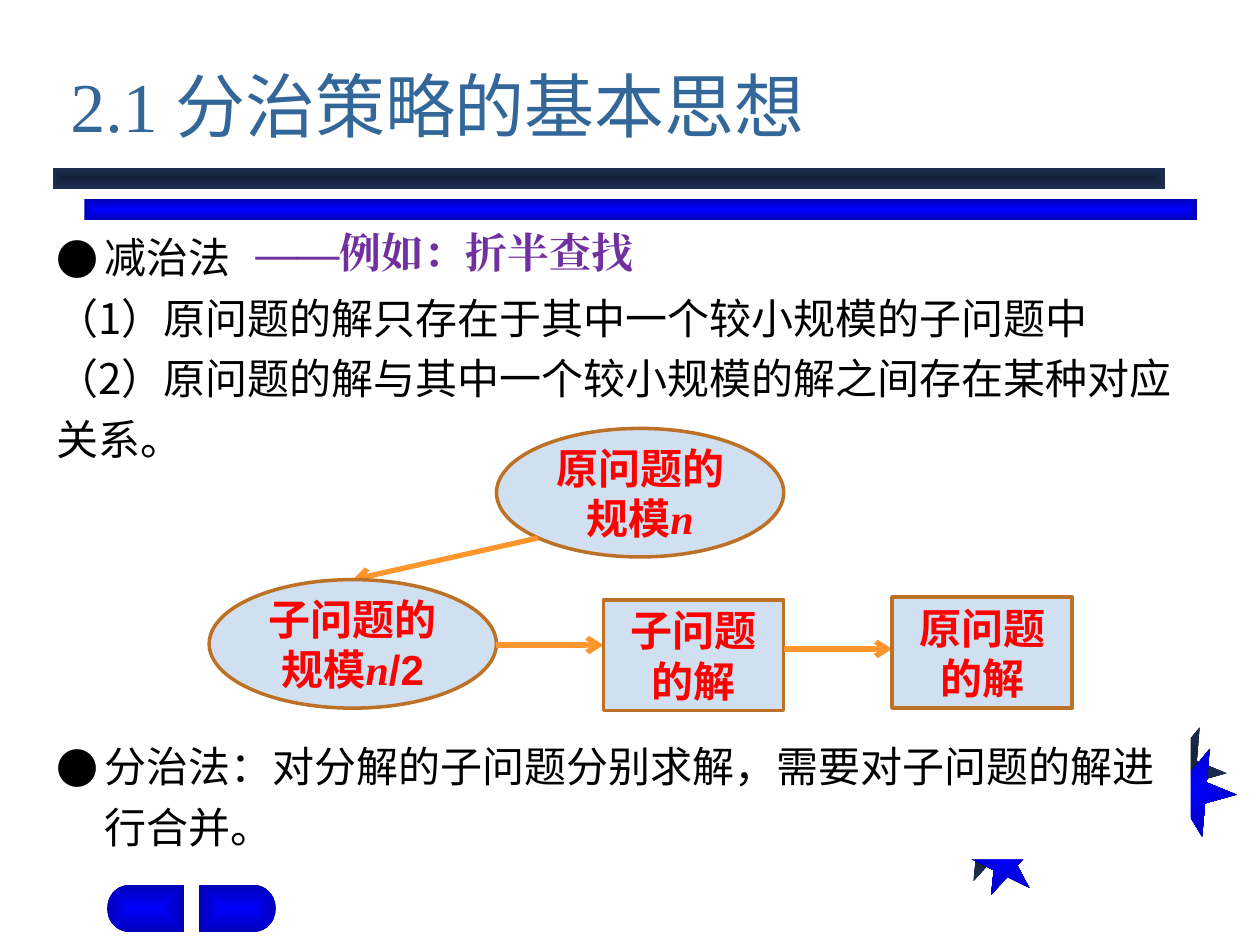
import math

from lxml import etree
from pptx import Presentation, util as u
from pptx.dml.color import RGBColor
from pptx.enum import shapes, text
from pptx.oxml import parse_xml
from pptx.oxml.ns import nsdecls, qn

SANS = "Noto Sans CJK SC"
SERIF = "Times New Roman"
BLUE = ("0000FF", "0000B6")
NAVY = ("15213B", "1E2E53")
OVAL = shapes.MSO_SHAPE.OVAL
RECT = shapes.MSO_SHAPE.RECTANGLE
STAR = shapes.MSO_SHAPE.STAR_5_POINT


def color(value):
    """Turn a hex string into a colour."""
    return RGBColor.from_string(value)


def add_run(paragraph, words, size=24, font=SANS, east=SANS, fill="000000", bold=False, italic=False):
    """Add formatted text to a paragraph."""
    run = paragraph.add_run()
    run.text = words
    run.font.size = u.Pt(size)
    run.font.name = font
    run.font.bold = bold
    run.font.italic = italic
    run.font.color.rgb = color(fill)
    etree.SubElement(run._r.get_or_add_rPr(), qn("a:ea")).set("typeface", east)


def add_bullet(paragraph):
    """Give a paragraph a round bullet with a hanging indent."""
    properties = paragraph._p.get_or_add_pPr()
    properties.set("marL", str(u.Inches(0.38)))
    properties.set("indent", str(-u.Inches(0.38)))
    etree.SubElement(properties, qn("a:buFont")).set("typeface", SANS)
    etree.SubElement(properties, qn("a:buChar")).set("char", "●")


def fill_gradient(shape, colors, path):
    """Fill a shape with a gradient that runs out from its centre."""
    shape.shadow.inherit = False
    shape.line.fill.background()
    shape.fill.background()
    stops = "".join(
        f'<a:gs pos="{position}"><a:srgbClr val="{value}"/></a:gs>'
        for position, value in zip((0, 100000), colors)
    )
    gradient = parse_xml(
        f'<a:gradFill {nsdecls("a")} rotWithShape="1"><a:gsLst>{stops}</a:gsLst>'
        f'<a:path path="{path}"><a:fillToRect l="50000" t="50000" r="50000" b="50000"/>'
        "</a:path></a:gradFill>"
    )
    properties = shape._element.spPr
    properties.replace(properties.find(qn("a:noFill")), gradient)


def add_shape(slide, kind, box, fill="FFFFFF", line=None):
    """Add a flat preset shape in a box given in inches."""
    shape = slide.shapes.add_shape(kind, *map(u.Inches, box))
    shape.shadow.inherit = False
    shape.fill.solid()
    shape.fill.fore_color.rgb = color(fill)
    if line:
        shape.line.color.rgb = color(line)
        shape.line.width = u.Pt(2)
    else:
        shape.line.fill.background()
    shape.text_frame.word_wrap = True
    return shape


def add_stars(slide, box, angle, offset):
    """Place a navy star and a blue one shifted over it."""
    left, top, size = box
    for colors, (right, down) in ((NAVY, (0, 0)), (BLUE, offset)):
        star = add_shape(slide, STAR, (left + right, top + down, size, size))
        star.rotation = angle
        fill_gradient(star, colors, "shape")


def add_bars(slide, left, top, width):
    """Place the two staggered bars under the title."""
    for colors, shift in ((BLUE, 0.25), (NAVY, 0)):
        bar = add_shape(slide, RECT, (left + shift, top + shift, width, 0.17))
        fill_gradient(bar, colors, "shape")


def add_half_pill(slide, flat, top, width, height, side):
    """Place a half pill whose round end points to the given side."""
    radius = height / 2
    center = flat + side * (width - radius)
    angles = [math.pi * step / 18 for step in range(19)]
    points = [
        (center + side * radius * math.sin(angle), top + radius - radius * math.cos(angle))
        for angle in angles
    ] + [(flat, top + height)]
    builder = slide.shapes.build_freeform(u.Inches(flat), u.Inches(top))
    builder.add_line_segments([(u.Inches(x), u.Inches(y)) for x, y in points], close=True)
    fill_gradient(builder.convert_to_shape(), BLUE, "rect")


def add_text_box(slide, box):
    """Add a wrapping text box and return its text frame."""
    frame = slide.shapes.add_textbox(*map(u.Inches, box)).text_frame
    frame.word_wrap = True
    return frame


def add_title(slide, box):
    """Place the title."""
    paragraph = add_text_box(slide, box).paragraphs[0]
    add_run(paragraph, "2.1 分治策略的基本思想", size=40, font=SERIF, fill="336699")


def add_reduction(slide, box):
    """Place the bulleted heading and its two numbered points."""
    frame = add_text_box(slide, box)
    lines = (
        "减治法",
        "（1）原问题的解只存在于其中一个较小规模的子问题中",
        "（2）原问题的解与其中一个较小规模的解之间存在某种对应关系。",
    )
    for index, line in enumerate(lines):
        paragraph = frame.add_paragraph() if index else frame.paragraphs[0]
        paragraph.line_spacing = 1.2
        if index == 0:
            add_bullet(paragraph)
        add_run(paragraph, line)


def add_panel(slide, box):
    """Add a white panel and return its first paragraph."""
    frame = add_shape(slide, RECT, box).text_frame
    frame.vertical_anchor = text.MSO_ANCHOR.TOP
    paragraph = frame.paragraphs[0]
    paragraph.alignment = text.PP_ALIGN.LEFT
    return paragraph


def add_division(slide, box):
    """Place the closing bullet."""
    paragraph = add_panel(slide, box)
    paragraph.line_spacing = 1.2
    add_bullet(paragraph)
    add_run(paragraph, "分治法：对分解的子问题分别求解，需要对子问题的解进行合并。")


def add_example(slide, box):
    """Place the example beside the first heading."""
    add_run(add_panel(slide, box), "——例如：折半查找", font="DejaVu Sans Mono",
            east=SERIF, fill="7030A0", bold=True)


def add_node(slide, kind, box, words, variable="", suffix=""):
    """Place one diagram node with an optional italic variable."""
    frame = add_shape(slide, kind, box, fill="D1E0F0", line="BD7126").text_frame
    frame.vertical_anchor = text.MSO_ANCHOR.MIDDLE
    paragraph = frame.paragraphs[0]
    paragraph.alignment = text.PP_ALIGN.CENTER
    for part, font in ((words, "Arial"), (variable, SERIF), (suffix, "Arial")):
        if part:
            add_run(paragraph, part, font=font, fill="FF0000", bold=True, italic=part == variable)


def add_arrow(slide, start, end):
    """Place an orange arrow between two points."""
    arrow = slide.shapes.add_connector(
        shapes.MSO_CONNECTOR.STRAIGHT, *map(u.Inches, start + end))
    arrow.line.color.rgb = color("FE962D")
    arrow.line.width = u.Pt(3)
    etree.SubElement(arrow.line._get_or_add_ln(), qn("a:tailEnd")).set("type", "arrow")
    etree.SubElement(arrow._element.spPr, qn("a:effectLst"))


def add_diagram(slide, left, top):
    """Place the reduction diagram from its top left corner."""
    column, oval, square = 2.28, (2.28, 1.02), (1.43, 0.88)
    second, third, fourth = left + column, left + 3.13, left + 5.42
    add_node(slide, OVAL, (second, top, *oval), "原问题的规模", "n")
    add_arrow(slide, (left + 2.61, top + 0.87), (left + 1.14, top + 1.2))
    add_node(slide, OVAL, (left, top + 1.2, *oval), "子问题的规模", "n", "/2")
    add_arrow(slide, (second, top + 1.72), (third, top + 1.72))
    add_node(slide, RECT, (third, top + 1.36, *square), "子问题的解")
    add_arrow(slide, (third + square[0], top + 1.75), (fourth, top + 1.75))
    add_node(slide, RECT, (fourth, top + 1.34, *square), "原问题的解")


def main():
    """Build and save the slide."""
    presentation = Presentation()
    presentation.slide_width, presentation.slide_height = u.Inches(10), u.Inches(7.5)
    slide = presentation.slides.add_slide(presentation.slide_layouts[6])
    add_stars(slide, (7.58, 6.47, 0.5), 349, (0.14, 0.11))
    add_stars(slide, (9.06, 5.75, 0.67), 22, (0.08, 0.17))
    add_bars(slide, 0.42, 1.33, 8.83)
    for flat, side in ((1.46, -1), (1.58, 1)):
        add_half_pill(slide, flat, 7.02, 0.61, 0.38, side)
    add_reduction(slide, (0.35, 1.71, 9.1, 2.04))
    add_title(slide, (0.46, 0.45, 6.19, 0.77))
    add_diagram(slide, 1.66, 3.4)
    add_division(slide, (0.35, 5.75, 9.1, 1.07))
    add_example(slide, (1.93, 1.75, 3.3, 0.5))
    presentation.save("out.pptx")


if __name__ == "__main__":
    main()
